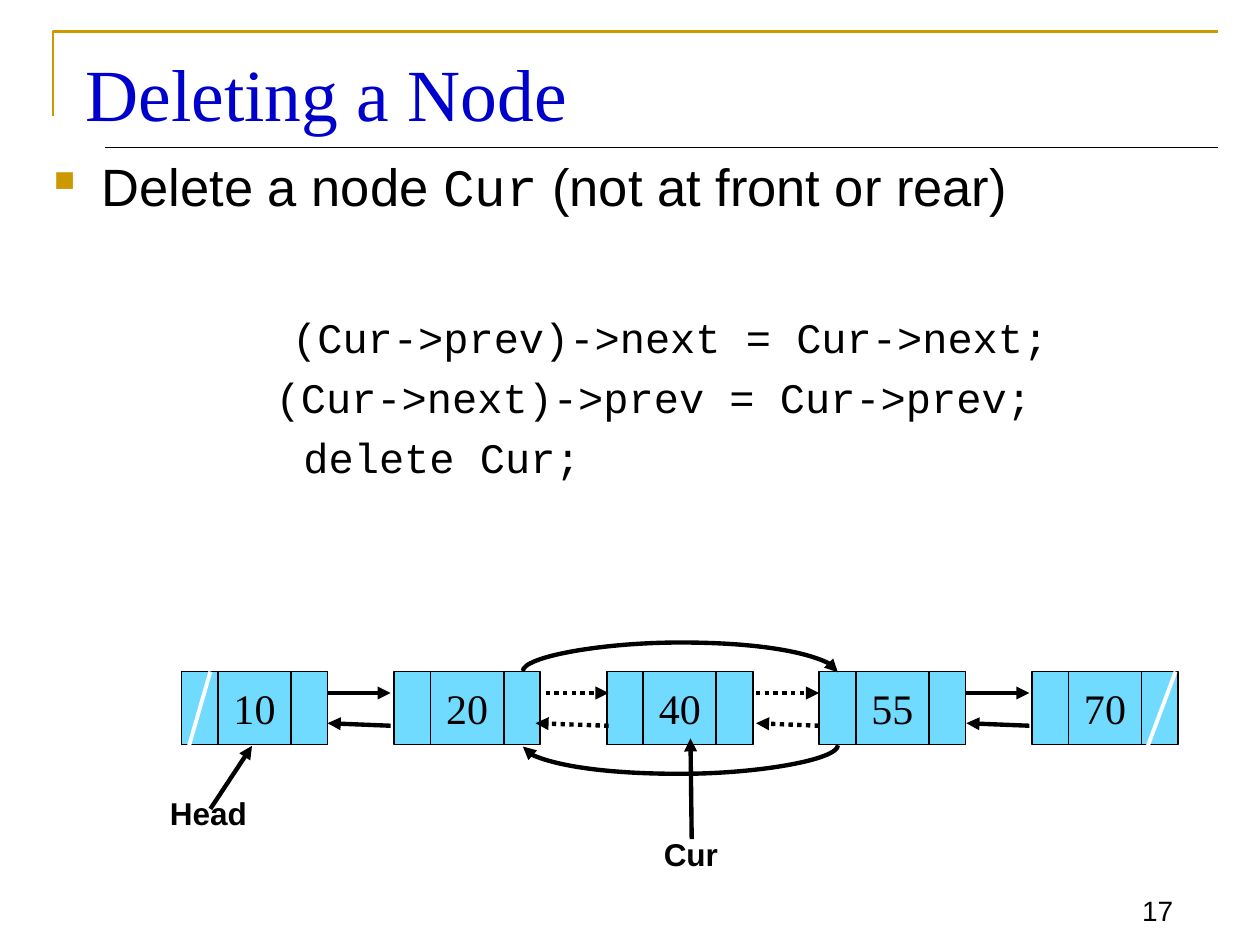
from dataclasses import dataclass

from lxml.etree import SubElement
from pptx import Presentation
from pptx.dml.color import RGBColor
from pptx.enum.dml import MSO_LINE
from pptx.enum.shapes import MSO_CONNECTOR as Connector, MSO_SHAPE as Shape
from pptx.enum.text import MSO_ANCHOR as Anchor, PP_ALIGN as Align
from pptx.oxml.ns import qn
from pptx.util import Inches, Pt


@dataclass(frozen=True)
class Theme:
    black: str = "000000"
    white: str = "FFFFFF"
    gold: str = "CC9900"
    blue: str = "0000CC"
    cyan: str = "71DAFF"
    sans: str = "Arial"
    serif: str = "Times New Roman"
    mono: str = "Courier New"
    title: int = 42
    body: int = 30
    code: int = 24
    label: int = 18
    number: int = 16
    thin: float = 0.75
    cell: float = 1
    frame: float = 1.5
    slash: float = 2.25
    arrow: float = 2.5


THEME = Theme()

TITLE = "Deleting a Node"
PAGE_NUMBER = "17"
BULLET_RUNS = [
    ("Delete a node ", THEME.sans),
    ("Cur", THEME.mono),
    (" (not at front or rear)", THEME.sans),
]
CODE_LINES = [
    ("(Cur->prev)->next = Cur->next;", 1.89, 54.5),
    ("(Cur->next)->prev = Cur->prev;", 1.76, 5.3),
    ("delete Cur;", 1.98, 5.3),
]
NODES = ["10", "20", "40", "55", "70"]
FIRST_LEFT, LAST_LEFT, NODE_TOP = 1.44, 8.19, 5.33
POINTER_WIDTH, VALUE_WIDTH, NODE_HEIGHT = 0.29, 0.58, 0.58
LINKS = [
    (2.6, 3.1, 2.6, False),
    (4.33, 4.83, 4.25, True),
    (6, 6.5, 6, True),
    (7.67, 8.17, 7.67, False),
]
NEXT_Y, PREV_START_Y, PREV_END_Y = 5.5, 5.76, 5.74
POINTERS = [
    ("Head", 1.25, 6.25, (1.67, 6.42), (2, 5.92)),
    ("Cur", 5.17, 6.58, (5.49, 6.66), (5.48, 5.86)),
]
LABEL_WIDTH, LABEL_HEIGHT = 0.9, 0.4
NULL_SLASHES = [((1.67, 5.33), (1.5, 5.92)), ((9.33, 5.33), (9.08, 6))]
BYPASS_X, BYPASS_SPAN, BYPASS_RISE, BYPASS_DEPTH = 5.4, 2.5, 0.23, 0.01
BYPASSES = [(5.33, True), (5.92, False)]


def rgb(value):
    return RGBColor.from_string(value)


def add_run(paragraph, text, size, font, color=THEME.black, bold=False):
    run = paragraph.add_run()
    run.text = text
    run.font.size = Pt(size)
    run.font.name = font
    run.font.bold = bold
    run.font.color.rgb = rgb(color)


def add_box(slide, left, top, width, height, wrap=True, anchor=Anchor.TOP):
    box = slide.shapes.add_textbox(*map(Inches, (left, top, width, height)))
    frame = box.text_frame
    frame.word_wrap = wrap
    frame.vertical_anchor = anchor
    return frame


def set_indent(paragraph, left, first=0.0):
    properties = paragraph._p.get_or_add_pPr()
    properties.set("marL", str(Inches(left)))
    properties.set("indent", str(Inches(first)))
    return properties


def add_line(slide, start, end, width=THEME.arrow, color=THEME.black,
             arrow=False, dotted=False, kind=Connector.STRAIGHT):
    line = slide.shapes.add_connector(kind, *map(Inches, (*start, *end)))
    line.line.width = Pt(width)
    line.line.color.rgb = rgb(color)
    if dotted:
        line.line.dash_style = MSO_LINE.ROUND_DOT
    if arrow:
        SubElement(line.line._get_or_add_ln(), qn("a:tailEnd"), type="triangle")
    SubElement(line._element.spPr, qn("a:effectLst"))
    return line


def add_frame(slide):
    points = [(Inches(x), Inches(y)) for x, y in [(0.42, 0.92), (0.42, 0.25), (9.67, 0.25)]]
    builder = slide.shapes.build_freeform(*points[0])
    builder.add_line_segments(points[1:], close=False)
    corner = builder.convert_to_shape()
    corner.shadow.inherit = False
    corner.fill.background()
    corner.line.color.rgb = rgb(THEME.gold)
    corner.line.width = Pt(THEME.frame)
    add_line(slide, (0.83, 1.17), (9.67, 1.17), THEME.thin)


def add_texts(slide):
    number = add_box(slide, 8.75, 6.92, 0.66, 0.49, anchor=Anchor.BOTTOM).paragraphs[0]
    number.alignment = Align.RIGHT
    add_run(number, PAGE_NUMBER, THEME.number, THEME.sans)

    title = add_box(slide, 0.58, 0.33, 9.08, 0.75)
    add_run(title.paragraphs[0], TITLE, THEME.title, THEME.serif, THEME.blue)

    body = add_box(slide, 0.33, 1.17, 9.33, 6)
    bullet = body.paragraphs[0]
    properties = set_indent(bullet, 0.38, -0.38)
    color = SubElement(properties, qn("a:buClr"))
    SubElement(color, qn("a:srgbClr"), val=THEME.gold)
    SubElement(properties, qn("a:buSzPct"), val="55000")
    SubElement(properties, qn("a:buChar"), char="■")
    for text, font in BULLET_RUNS:
        add_run(bullet, text, THEME.body, font)
    for text, indent, space in CODE_LINES:
        paragraph = body.add_paragraph()
        set_indent(paragraph, indent)
        paragraph.space_before = Pt(space)
        add_run(paragraph, text, THEME.code, THEME.mono)


def add_node(slide, value, left):
    group = slide.shapes.add_group_shape()
    for text, width in [("", POINTER_WIDTH), (value, VALUE_WIDTH), ("", POINTER_WIDTH)]:
        cell = group.shapes.add_shape(
            Shape.RECTANGLE, *map(Inches, (left, NODE_TOP, width, NODE_HEIGHT)))
        cell.shadow.inherit = False
        cell.fill.solid()
        cell.fill.fore_color.rgb = rgb(THEME.cyan)
        cell.line.color.rgb = rgb(THEME.black)
        cell.line.width = Pt(THEME.cell)
        if text:
            frame = cell.text_frame
            frame.word_wrap = False
            frame.vertical_anchor = Anchor.MIDDLE
            frame.paragraphs[0].alignment = Align.CENTER
            add_run(frame.paragraphs[0], text, THEME.code, THEME.serif)
        left += width


def add_bypass(slide, y, above):
    x_ends = BYPASS_X - BYPASS_DEPTH / 2, BYPASS_X + BYPASS_DEPTH / 2
    y_ends = y - BYPASS_SPAN / 2, y + BYPASS_SPAN / 2
    start, end = zip(x_ends, reversed(y_ends) if above else y_ends)
    curve = add_line(slide, start, end, arrow=True, kind=Connector.CURVE)
    properties = curve._element.spPr
    properties.find(qn("a:xfrm")).set("rot", "5400000")
    bend = round(BYPASS_RISE / BYPASS_DEPTH * 100000) * (-1 if above else 1)
    adjustments = properties.find(qn("a:prstGeom")).find(qn("a:avLst"))
    SubElement(adjustments, qn("a:gd"), name="adj1", fmla=f"val {bend}")


def add_list(slide):
    pitch = (LAST_LEFT - FIRST_LEFT) / (len(NODES) - 1)
    for index, value in enumerate(NODES):
        add_node(slide, value, FIRST_LEFT + index * pitch)
    for left, right, back, dotted in LINKS:
        add_line(slide, (left, NEXT_Y), (right, NEXT_Y), arrow=True, dotted=dotted)
        add_line(slide, (right, PREV_START_Y), (back, PREV_END_Y), arrow=True, dotted=dotted)
    for text, left, top, start, end in POINTERS:
        label = add_box(slide, left, top, LABEL_WIDTH, LABEL_HEIGHT)
        add_run(label.paragraphs[0], text, THEME.label, THEME.sans, bold=True)
        add_line(slide, start, end, arrow=True)
    for start, end in NULL_SLASHES:
        add_line(slide, start, end, THEME.slash, THEME.white)
    for y, above in BYPASSES:
        add_bypass(slide, y, above)


def main():
    presentation = Presentation()
    presentation.slide_width, presentation.slide_height = Inches(10), Inches(7.5)
    slide = presentation.slides.add_slide(presentation.slide_layouts[6])
    add_frame(slide)
    add_texts(slide)
    add_list(slide)
    presentation.save("out.pptx")


if __name__ == "__main__":
    main()
